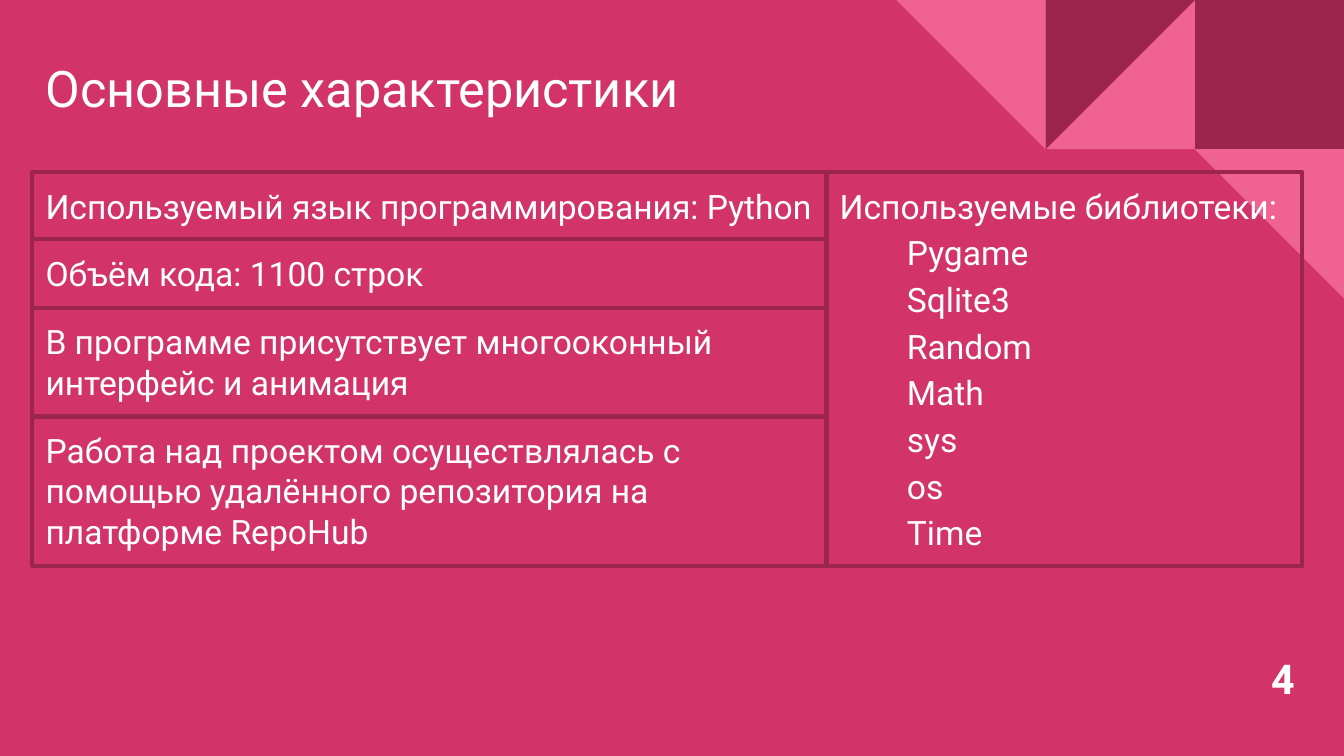
from pptx import Presentation
from pptx import util as u
from pptx.dml import color
from pptx.enum import shapes, text

ACCENT, PINK, WHITE = "9C254D", "F06292", "FFFFFF"
FACTS = [
    ("Используемый язык программирования: Python", 0.5),
    ("Объём кода: 1100 строк", 0.51),
    ("В программе присутствует многооконный интерфейс и анимация", 0.81),
    ("Работа над проектом осуществлялась с помощью удалённого репозитория на платформе RepoHub", 1.11),
]
LIBRARIES = ["Pygame", "Sqlite3", "Random", "Math", "sys", "os", "Time"]


def paint(target, hex_color):
    target.solid()
    target.fore_color.rgb = color.RGBColor.from_string(hex_color)


def place(box):
    return [u.Inches(value) for value in box]


def write(shape, lines, size, bold=False, anchor=text.MSO_ANCHOR.TOP, grow=False):
    frame = shape.text_frame
    frame.text = "\n".join(lines)
    frame.word_wrap = True
    frame.vertical_anchor = anchor
    frame.auto_size = text.MSO_AUTO_SIZE.SHAPE_TO_FIT_TEXT if grow else text.MSO_AUTO_SIZE.NONE
    frame.margin_left = frame.margin_right = u.Inches(0.1)
    frame.margin_top = frame.margin_bottom = u.Inches(0.1)
    for para in frame.paragraphs:
        para.alignment = text.PP_ALIGN.LEFT
        for span in para.runs:
            span.font.name = "Roboto"
            span.font.size = u.Pt(size)
            span.font.bold = bold
            paint(span.font.fill, WHITE)


def add_corner(page, left, top, side):
    triangle = shapes.MSO_SHAPE.RIGHT_TRIANGLE
    tiles = [
        (2, 0, shapes.MSO_SHAPE.RECTANGLE, 0, ACCENT),
        (1, 0, triangle, 270, PINK),
        (1, 0, triangle, 90, ACCENT),
        (0, 0, triangle, 180, PINK),
        (2, 1, triangle, 180, PINK),
    ]
    for column, row, kind, angle, fill in tiles:
        box = (left + column * side, top + row * side, side, side)
        tile = page.shapes.add_shape(kind, *place(box))
        tile.shadow.inherit = False
        tile.rotation = angle
        paint(tile.fill, fill)
        tile.line.fill.background()


def add_title(page, box):
    title = page.shapes.title
    title.left, title.top, title.width, title.height = place(box)
    write(title, ["Основные характеристики"], 27, anchor=text.MSO_ANCHOR.MIDDLE)


def add_panel(page, box, lines, grow=False):
    panel = page.shapes.add_shape(shapes.MSO_SHAPE.RECTANGLE, *place(box))
    panel.shadow.inherit = False
    panel.fill.background()
    paint(panel.line.fill, ACCENT)
    panel.line.width = u.Pt(2.25)
    write(panel, lines, 18, grow=grow)
    return panel


def add_facts(page, left, top, width):
    for fact, height in FACTS:
        add_panel(page, (left, top, width, height), [fact], grow=True)
        top += height


def add_libraries(page, box):
    panel = add_panel(page, box, ["Используемые библиотеки:"] + LIBRARIES)
    for para in panel.text_frame.paragraphs[1:]:
        para.line_spacing = u.Pt(25)
        properties = para._p.get_or_add_pPr()
        properties.set("marL", "0")
        properties.set("indent", str(u.Inches(0.5)))


def add_page_number(page, box):
    number = page.shapes.add_textbox(*place(box))
    write(number, ["4"], 22, bold=True, grow=True)


def main():
    deck = Presentation()
    deck.slide_width = u.Inches(10)
    deck.slide_height = deck.slide_width * 9 // 16
    page = deck.slides.add_slide(deck.slide_layouts[5])
    paint(page.background.fill, "D23369")
    add_corner(page, 6.67, 0, 1.11)
    add_title(page, (0.24, 0.24, 7.06, 0.82))
    add_facts(page, 0.24, 1.28, 5.91)
    add_libraries(page, (6.15, 1.28, 3.54, 2.93))
    add_page_number(page, (9.36, 4.76, 0.45, 0.57))
    deck.save("out.pptx")


if __name__ == "__main__":
    main()
